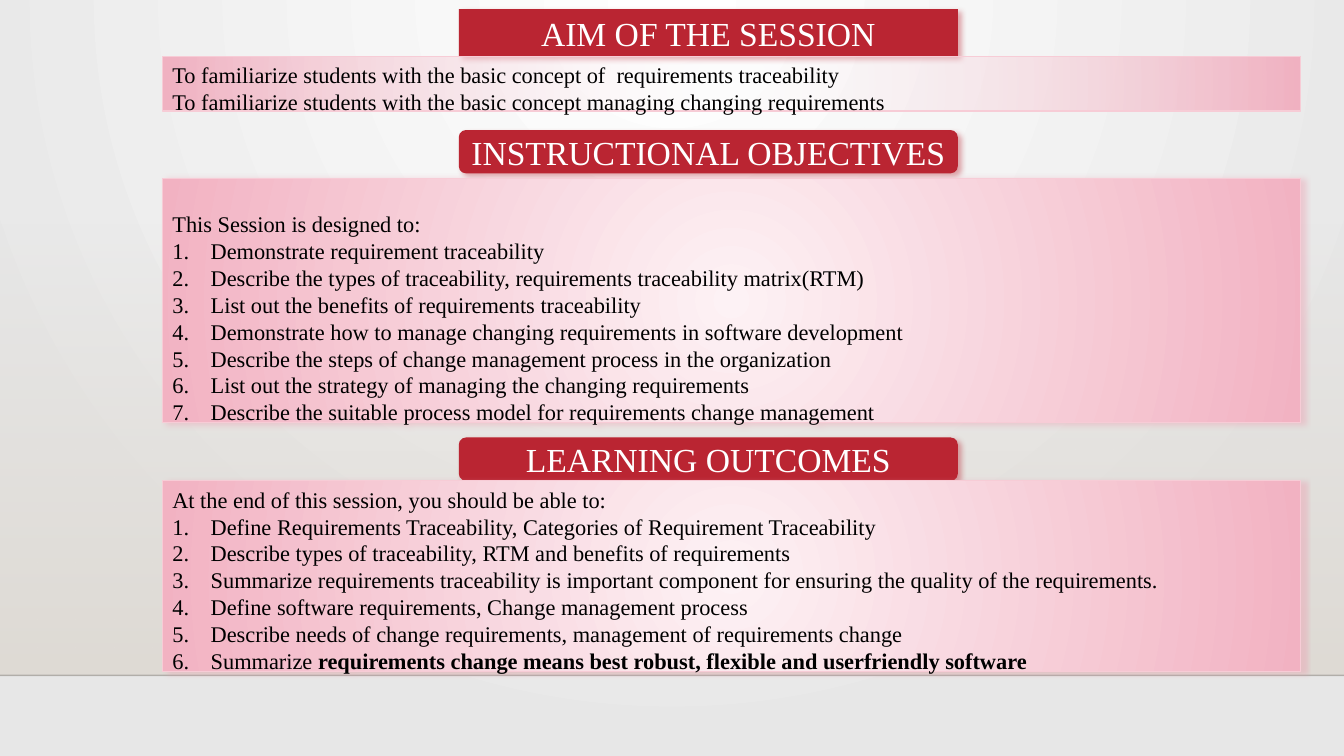
"""Build the session slide with its aim, objectives and learning outcomes."""
from dataclasses import dataclass

from pptx import Presentation
from pptx.dml.color import RGBColor
from pptx.dml.fill import FillFormat
from pptx.enum.shapes import MSO_CONNECTOR, MSO_SHAPE
from pptx.enum.text import MSO_ANCHOR as Anchor, MSO_AUTO_SIZE as AutoSize, PP_ALIGN as Align
from pptx.oxml import parse_xml
from pptx.oxml.ns import nsdecls, qn
from pptx.shapes.autoshape import Shape
from pptx.slide import Slide
from pptx.util import Inches, Pt

FONT = "Times New Roman"
RED, ROSE, BLACK, WHITE = "BA2532", "EE99AD", "000000", "FFFFFF"
CENTER = '<a:path path="circle"><a:fillToRect l="50000" t="50000" r="50000" b="50000"/></a:path>'
TOP_CENTER = '<a:path path="circle"><a:fillToRect l="43000" r="43000" b="100000"/></a:path>'
DOWNWARD = '<a:lin ang="5400000" scaled="0"/>'
HEADING_LEFT, HEADING_WIDTH = 4.55, 4.95
PANEL_LEFT, PANEL_WIDTH = 1.61, 11.29
NUMBER_INDENT = 0.38


@dataclass(frozen=True)
class Item:
    text: str
    bold_text: str = ""
    numbered: bool = True
    line_spacing: float = 1.0


@dataclass(frozen=True)
class Section:
    heading: str
    heading_top: float
    heading_height: float
    heading_holder: int | None
    panel_top: float
    panel_height: float
    panel_holder: int
    items: tuple[Item, ...]
    inner_alpha: int = 100
    panel_shadow: bool = True


SECTIONS = (
    Section("AIM OF THE SESSION", 0.09, 0.47, 0, 0.56, 0.64, 1, (
        Item("To familiarize students with the basic concept of  requirements traceability", numbered=False),
        Item("To familiarize students with the basic concept managing changing requirements", numbered=False),
    ), inner_alpha=0, panel_shadow=False),
    Section("INSTRUCTIONAL OBJECTIVES", 1.29, 0.43, None, 1.77, 2.52, 2, (
        Item("This Session is designed to:", numbered=False, line_spacing=2.0),
        Item("Demonstrate requirement traceability"),
        Item("Describe the types of traceability, requirements traceability matrix(RTM)"),
        Item("List out the benefits of requirements traceability"),
        Item("Demonstrate how to manage changing requirements in software development"),
        Item("Describe the steps of change management process in the organization"),
        Item("List out the strategy of managing the changing requirements"),
        Item("Describe the suitable process model for requirements change management"),
    )),
    Section("LEARNING OUTCOMES", 4.34, 0.43, 3, 4.77, 1.99, 4, (
        Item("At the end of this session, you should be able to:", numbered=False),
        Item("Define Requirements Traceability, Categories of Requirement Traceability"),
        Item("Describe types of traceability, RTM and benefits of requirements"),
        Item("Summarize requirements traceability is important component for ensuring the quality "
             "of the requirements."),
        Item("Define software requirements, Change management process"),
        Item("Describe needs of change requirements, management of requirements change"),
        Item("Summarize ", "requirements change means best robust, flexible and userfriendly software"),
    )),
)


def color(value: str) -> RGBColor:
    """Turn a hex string into a colour."""
    return RGBColor.from_string(value)


def set_gradient(fill: FillFormat, owner, start: str, end: str, direction: str,
                 start_alpha: int = 100) -> None:
    """Give the owner of a fill a two-stop gradient."""
    fill.background()
    gradient = parse_xml(
        f'<a:gradFill {nsdecls("a")} rotWithShape="1"><a:gsLst>'
        f'<a:gs pos="0"><a:srgbClr val="{start}"><a:alpha val="{start_alpha * 1000}"/></a:srgbClr></a:gs>'
        f'<a:gs pos="100000"><a:srgbClr val="{end}"/></a:gs></a:gsLst>{direction}</a:gradFill>')
    owner.replace(owner.find(qn("a:noFill")), gradient)


def add_shadow(shape: Shape, value: str, angle: int) -> None:
    """Add a soft outer shadow to a shape."""
    shape.element.spPr.find(qn("a:effectLst")).append(parse_xml(
        f'<a:outerShdw {nsdecls("a")} blurRad="{Pt(4)}" dist="{Pt(3)}" dir="{angle * 60000}" '
        f'algn="ctr" rotWithShape="0"><a:srgbClr val="{value}"><a:alpha val="40000"/></a:srgbClr>'
        '</a:outerShdw>'))


def place(slide: Slide, holder: int | None, kind: MSO_SHAPE, outline: str,
          box: tuple[float, float, float, float]) -> Shape:
    """Place a placeholder, or a new shape, in front with the given outline."""
    left, top, width, height = map(Inches, box)
    if holder is None:
        shape = slide.shapes.add_shape(kind, left, top, width, height)
    else:
        shape = next(item for item in slide.placeholders if item.placeholder_format.idx == holder)
        shape.left, shape.top, shape.width, shape.height = left, top, width, height
        shape.element.spPr.append(parse_xml(
            f'<a:prstGeom {nsdecls("a")} prst="{outline}"><a:avLst/></a:prstGeom>'))
        slide.shapes.element.append(shape.element)
    shape.shadow.inherit = False
    return shape


def add_run(paragraph, text: str, size: int, value: str, bold: bool = False) -> None:
    """Add a formatted run to a paragraph."""
    run = paragraph.add_run()
    run.text = text
    run.font.name, run.font.size, run.font.bold = FONT, Pt(size), bold
    run.font.color.rgb = color(value)


def format_paragraph(paragraph, align: Align, numbered: bool = False, spacing: float = 1.0) -> None:
    """Set the indent, numbering, alignment and spacing of a paragraph."""
    properties = paragraph._p.get_or_add_pPr()
    indent = Inches(NUMBER_INDENT) if numbered else 0
    properties.set("marL", str(indent))
    properties.set("indent", str(-indent))
    tag, numbering = ("buAutoNum", 'type="arabicPeriod"') if numbered else ("buNone", "")
    properties.append(parse_xml(f'<a:{tag} {nsdecls("a")} {numbering}/>'))
    paragraph.alignment = align
    paragraph.line_spacing = spacing
    paragraph.space_before = paragraph.space_after = Pt(0)


def add_heading(slide: Slide, section: Section) -> None:
    """Draw the red heading of a section."""
    shape = place(slide, section.heading_holder, MSO_SHAPE.ROUNDED_RECTANGLE, "roundRect",
                  (HEADING_LEFT, section.heading_top, HEADING_WIDTH, section.heading_height))
    shape.fill.solid()
    shape.fill.fore_color.rgb = color(RED)
    shape.line.fill.background()
    add_shadow(shape, RED, 45)
    frame = shape.text_frame
    frame.word_wrap, frame.auto_size = True, AutoSize.NONE
    frame.vertical_anchor = Anchor.MIDDLE
    frame.margin_left = frame.margin_right = Inches(0.05)
    paragraph = frame.paragraphs[0]
    format_paragraph(paragraph, Align.CENTER)
    add_run(paragraph, section.heading, 24, WHITE)


def add_panel(slide: Slide, section: Section) -> None:
    """Draw the pink panel of a section with its list."""
    shape = place(slide, section.panel_holder, MSO_SHAPE.RECTANGLE, "rect",
                  (PANEL_LEFT, section.panel_top, PANEL_WIDTH, section.panel_height))
    set_gradient(shape.fill, shape.element.spPr, "FDF2F5", "F2B2C2", CENTER, section.inner_alpha)
    shape.line.color.rgb = color("F7CCD6")
    shape.line.width = Pt(0.75)
    if section.panel_shadow:
        add_shadow(shape, ROSE, 0)
    frame = shape.text_frame
    frame.word_wrap, frame.auto_size = True, AutoSize.SHAPE_TO_FIT_TEXT
    frame.vertical_anchor = Anchor.TOP
    for index, item in enumerate(section.items):
        paragraph = frame.add_paragraph() if index else frame.paragraphs[0]
        format_paragraph(paragraph, Align.LEFT, item.numbered, item.line_spacing)
        add_run(paragraph, item.text, 16, BLACK)
        if item.bold_text:
            add_run(paragraph, item.bold_text, 16, BLACK, bold=True)


def add_backdrop(slide: Slide) -> None:
    """Draw the background, the lower band and the floor line."""
    fill = slide.background.fill
    set_gradient(fill, slide.element.find(f'.//{qn("p:bgPr")}'), WHITE, "E7E7E7", TOP_CENTER)
    band = place(slide, None, MSO_SHAPE.RECTANGLE, "rect", (0, 2.21, 13.33, 4.49))
    set_gradient(band.fill, band.element.spPr, "DFDBD5", "DFDBD5", DOWNWARD, 0)
    band.line.fill.background()
    floor = slide.shapes.add_connector(MSO_CONNECTOR.STRAIGHT, 0, Inches(6.7), Inches(13.33), Inches(6.7))
    floor.line.color.rgb = color("000001")
    floor.line.width = Pt(1)
    floor.element.find(f'.//{qn("a:srgbClr")}').append(parse_xml(f'<a:alpha {nsdecls("a")} val="20000"/>'))
    floor.element.spPr.append(parse_xml(f'<a:effectLst {nsdecls("a")}/>'))


def main() -> None:
    """Build and save the presentation."""
    presentation = Presentation()
    presentation.slide_width, presentation.slide_height = Inches(13.33), Inches(7.5)
    slide = presentation.slides.add_slide(presentation.slide_layouts[4])
    add_backdrop(slide)
    for section in SECTIONS:
        add_heading(slide, section)
        add_panel(slide, section)
    presentation.save("out.pptx")


if __name__ == "__main__":
    main()
